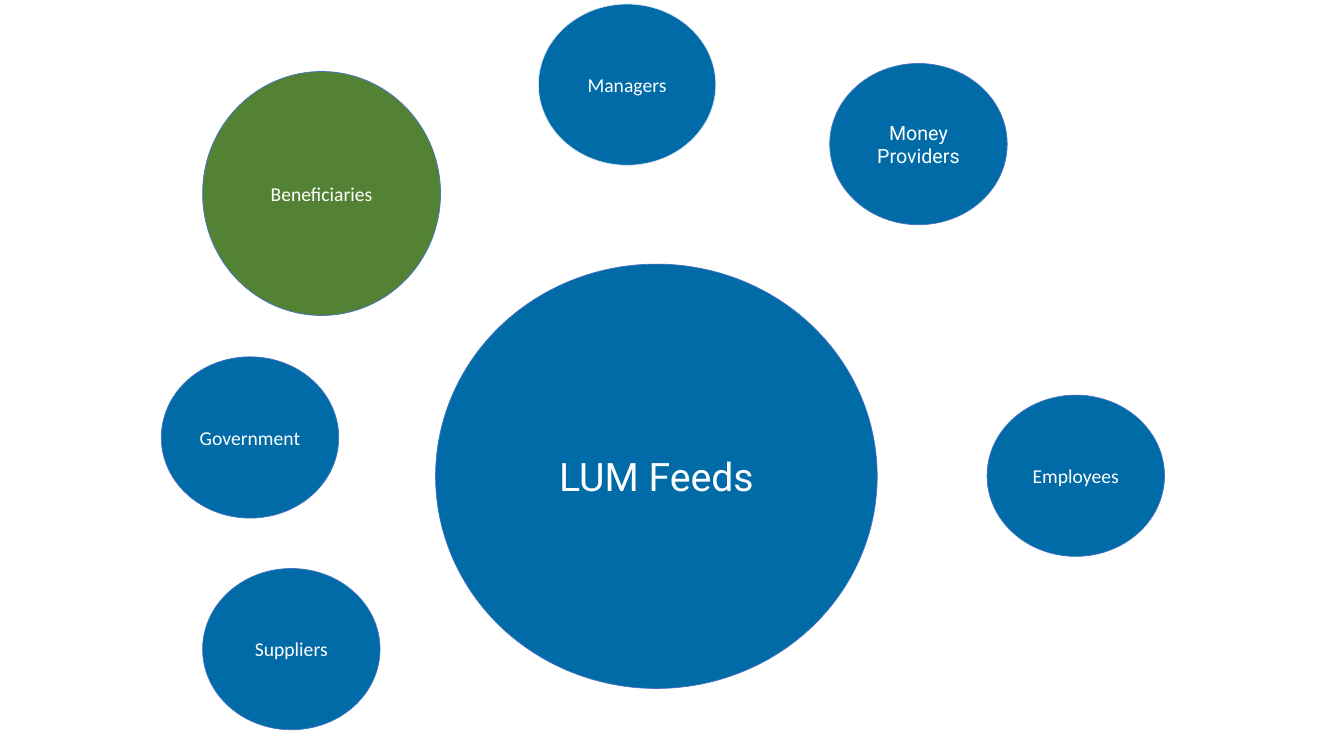
from pptx import Presentation
from pptx.dml.color import RGBColor
from pptx.enum.shapes import MSO_SHAPE as Shape
from pptx.enum.text import MSO_ANCHOR as Anchor, PP_ALIGN as Align
from pptx.util import Emu, Pt

# Scale: 100 px to the inch
EMU_PER_PX = 9144
SLIDE_SIZE = (1333, 750)
SMALL_SIZE = (176, 160)

# Colours
BLUE = RGBColor(0x00, 0x6B, 0xA6)
GREEN = RGBColor(0x54, 0x82, 0x35)
OUTLINE = RGBColor(0x44, 0x72, 0xC4)
PALE_OUTLINE = RGBColor(0xDA, 0xE3, 0xF3)
WHITE = RGBColor(0xFF, 0xFF, 0xFF)


def px(length):
    return Emu(length * EMU_PER_PX)


def write_text(shape, text, *, points=14, font="Calibri", color=WHITE):
    frame = shape.text_frame
    frame.word_wrap = True
    frame.vertical_anchor = Anchor.MIDDLE
    para = frame.paragraphs[0]
    para.alignment = Align.CENTER
    span = para.add_run()
    span.text = text
    span.font.size = Pt(points)
    span.font.name = font
    span.font.color.rgb = color


def add_circle(slide, text, left, top, *, size=SMALL_SIZE, fill=BLUE,
               outline=OUTLINE, **text_format):
    width, height = size
    circle = slide.shapes.add_shape(
        Shape.OVAL, px(left), px(top), px(width), px(height))
    circle.shadow.inherit = False
    circle.fill.solid()
    circle.fill.fore_color.rgb = fill
    circle.line.color.rgb = outline
    circle.line.width = Pt(0.5)
    write_text(circle, text, **text_format)


def main():
    deck = Presentation()
    deck.slide_width, deck.slide_height = map(px, SLIDE_SIZE)
    slide = deck.slides.add_slide(deck.slide_layouts[6])

    # Organisation in the centre
    add_circle(slide, "LUM Feeds", 432, 262, size=(438, 421),
               points=28, font="Roboto")

    # Stakeholders around it
    add_circle(slide, "Employees", 979, 392)
    add_circle(slide, "Suppliers", 201, 564)
    add_circle(slide, "Government", 160, 354)
    add_circle(slide, "Beneficiaries", 201, 71, size=(236, 242), fill=GREEN)
    add_circle(slide, "Managers", 534, 4, outline=PALE_OUTLINE)
    add_circle(slide, "Money Providers", 823, 63, font="Roboto")

    deck.save("out.pptx")


if __name__ == "__main__":
    main()
